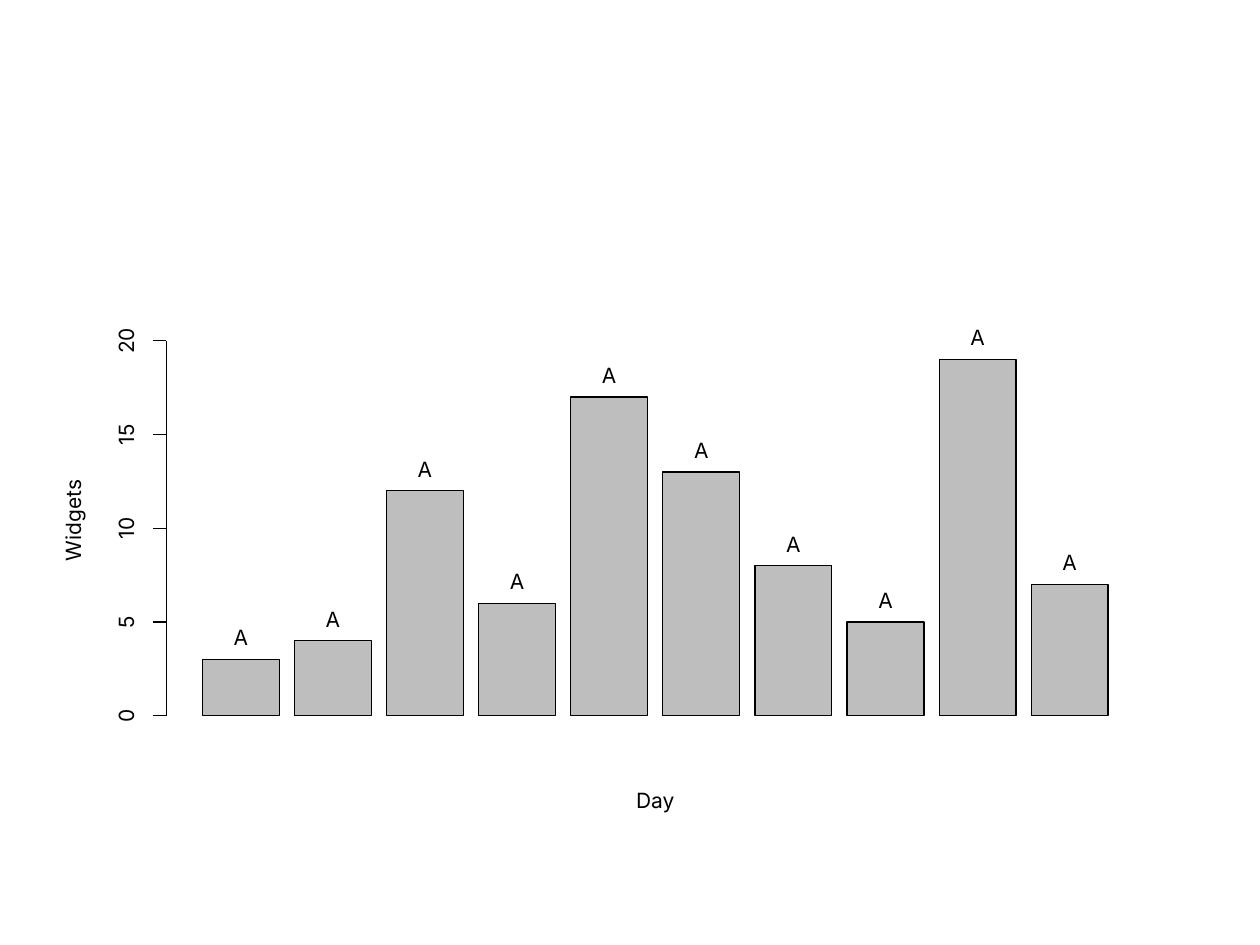
from pptx import Presentation
from pptx.dml.color import RGBColor
from pptx.enum.shapes import MSO_CONNECTOR, MSO_SHAPE
from pptx.enum.text import MSO_ANCHOR, PP_ALIGN
from pptx.oxml.ns import qn
from pptx.util import Cm, Pt
from lxml import etree

RECT, LINE = MSO_SHAPE.RECTANGLE, MSO_CONNECTOR.STRAIGHT
MIDDLE, CENTER = MSO_ANCHOR.MIDDLE, PP_ALIGN.CENTER

# Content
COUNTS = [3, 4, 12, 6, 17, 13, 8, 5, 19, 7]
MARKS = ["A"] * len(COUNTS)
TICKS = [0, 5, 10, 15, 20]
DAY, WIDGETS = "Day", "Widgets"

THEME = {
    "font": "Inter", "size": Pt(12), "line": Pt(0.75),
    "ink": RGBColor(0, 0, 0),
    "bar": RGBColor(0xBE, 0xBE, 0xBE),
    "paper": RGBColor(0xFF, 0xFF, 0xFF),
}

# Plot geometry in cm
BASE, TOP = 14.43, 6.87
UNIT = (BASE - TOP) / TICKS[-1]
FIRST, LAST, WIDTH = 4.08, 20.79, 1.55
STEP = (LAST - FIRST) / (len(COUNTS) - 1)
AXIS, TICK = 3.35, 0.26
MARK_GAP = 0.4


def height(count):
    return BASE - count * UNIT


def add_box(shapes, x, y, w, h, fill, edge):
    box = shapes.add_shape(RECT, Cm(x), Cm(y), Cm(w), Cm(h))
    box.shadow.inherit = False
    box.fill.solid()
    box.fill.fore_color.rgb = fill
    box.line.color.rgb = edge
    box.line.width = THEME["line"]


def add_line(shapes, x1, y1, x2, y2):
    line = shapes.add_connector(LINE, Cm(x1), Cm(y1), Cm(x2), Cm(y2))
    line.line.color.rgb = THEME["ink"]
    line.line.width = THEME["line"]
    etree.SubElement(line._element.spPr, qn("a:effectLst"))


def add_text(shapes, text, x, y, w, h=0.3, turn=0):
    """Place text with its centre at x, y."""
    box = shapes.add_textbox(Cm(x - w / 2), Cm(y - h / 2), Cm(w), Cm(h))
    box.rotation = turn
    frame = box.text_frame
    frame.word_wrap = False
    frame.vertical_anchor = MIDDLE
    frame.margin_left = frame.margin_right = 0
    frame.margin_top = frame.margin_bottom = 0
    para = frame.paragraphs[0]
    para.alignment = CENTER
    para.line_spacing = Pt(12)
    run = para.add_run()
    run.text = text
    run.font.name = THEME["font"]
    run.font.size = THEME["size"]
    run.font.color.rgb = THEME["ink"]


def main():
    deck = Presentation()
    deck.slide_width, deck.slide_height = Cm(25.4), Cm(19.05)
    slide = deck.slides.add_slide(deck.slide_layouts[6])
    plot = slide.shapes.add_group_shape().shapes

    # Panel and bars
    add_box(plot, 1.27, 4.45, 22.86, 12.57, THEME["paper"], THEME["paper"])
    for i, count in enumerate(COUNTS):
        add_box(plot, FIRST + i * STEP, height(count), WIDTH, count * UNIT,
                THEME["bar"], THEME["ink"])

    # Axis titles
    add_text(plot, DAY, 13.21, 16.17, 0.9, 0.38)
    add_text(plot, WIDGETS, 1.52, 10.49, 1.8, 0.41, 270)

    # Value axis
    add_line(plot, AXIS, BASE, AXIS, TOP)
    for tick in TICKS:
        add_line(plot, AXIS, height(tick), AXIS - TICK, height(tick))
    for tick in TICKS:
        label = str(tick)
        add_text(plot, label, 2.59, height(tick), 0.3 * len(label), turn=270)

    # Marks above the bars
    for i, (mark, count) in enumerate(zip(MARKS, COUNTS)):
        add_text(plot, mark, FIRST + i * STEP + WIDTH / 2,
                 height(count) - MARK_GAP, 0.3)

    deck.save("out.pptx")


if __name__ == "__main__":
    main()
